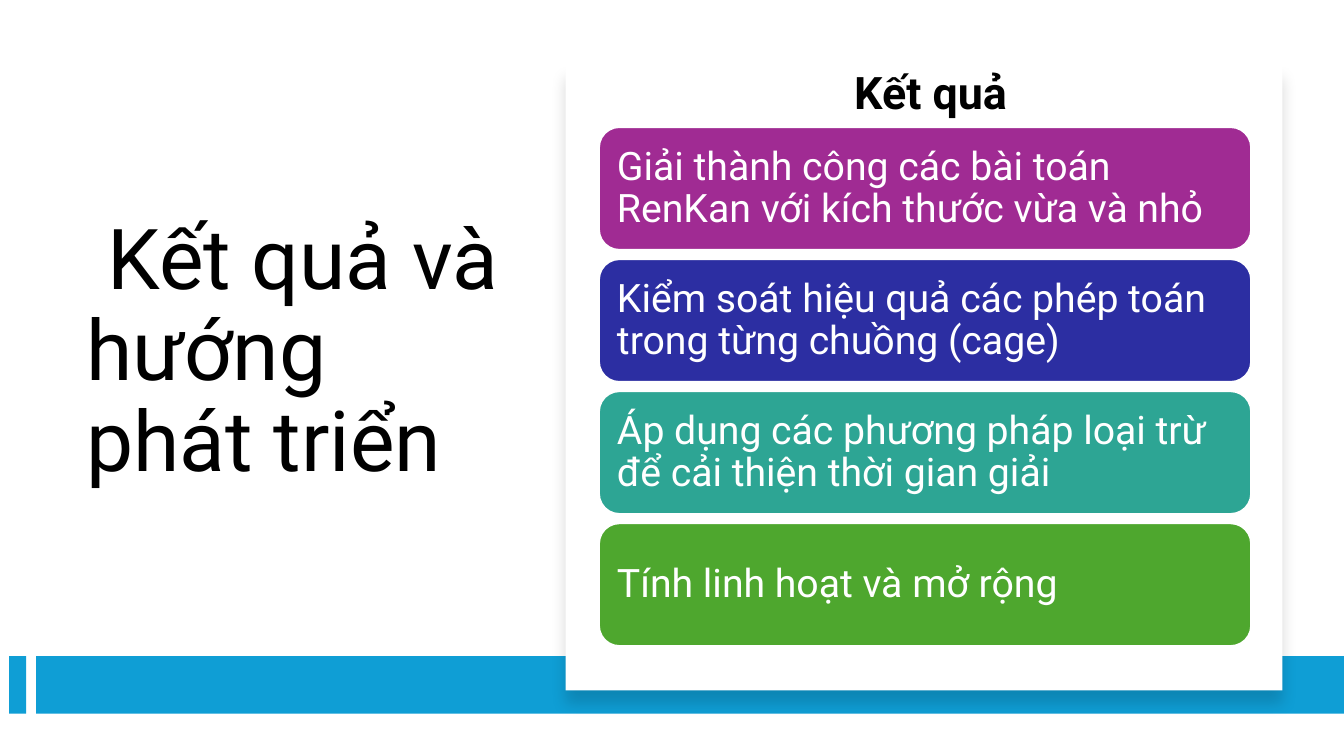
from dataclasses import dataclass

from lxml.etree import SubElement
from pptx import Presentation
from pptx.dml.color import RGBColor
from pptx.enum.shapes import MSO_SHAPE
from pptx.enum.text import MSO_ANCHOR, PP_ALIGN
from pptx.oxml.ns import qn
from pptx.shapes.autoshape import Shape
from pptx.slide import Slide
from pptx.util import Inches, Pt

FONT = "Roboto"
BLACK, WHITE, BLUE = "000000", "FFFFFF", "0F9ED5"


@dataclass
class Box:
    left: float
    top: float
    width: float
    height: float


@dataclass
class Result:
    text: str
    fill: str


BARS = [Box(0.09, 6.51, 0.17, 0.57), Box(0.36, 6.51, 12.97, 0.57)]
PANEL = Box(5.61, 0.64, 7.11, 6.21)
HEADING = Box(0.76, 0.45, 4.31, 6.11)
RESULTS_TITLE = Box(7.1, 0.54, 4.15, 0.8)
FIRST_RESULT = Box(5.94, 1.26, 6.47, 1.22)
RESULT_STEP = 1.31
RESULTS = [
    Result("Giải thành công các bài toán RenKan với kích thước vừa và nhỏ", "A02B93"),
    Result("Kiểm soát hiệu quả các phép toán trong từng chuồng (cage)", "2C2EA2"),
    Result("Áp dụng các phương pháp loại trừ để cải thiện thời gian giải", "2DA594"),
    Result("Tính linh hoạt và mở rộng", "4EA72E"),
]


def color(value: str) -> RGBColor:
    return RGBColor.from_string(value)


def place(box: Box) -> tuple:
    return Inches(box.left), Inches(box.top), Inches(box.width), Inches(box.height)


def add_block(slide: Slide, box: Box, fill: str,
              kind: MSO_SHAPE = MSO_SHAPE.RECTANGLE) -> Shape:
    block = slide.shapes.add_shape(kind, *place(box))
    block.shadow.inherit = False
    block.fill.solid()
    block.fill.fore_color.rgb = color(fill)
    block.line.fill.background()
    return block


def add_soft_shadow(block: Shape) -> None:
    effects = block._element.spPr.find(qn("a:effectLst"))
    shadow = SubElement(effects, qn("a:outerShdw"), blurRad=str(Pt(11)),
                        dist=str(Pt(10)), dir="5400000", algn="t", rotWithShape="0")
    tint = SubElement(shadow, qn("a:srgbClr"), val=BLACK)
    SubElement(tint, qn("a:alpha"), val="15000")


def write(holder: Shape, text: str, size: int, ink: str, bold: bool = False,
          align: PP_ALIGN = PP_ALIGN.LEFT) -> None:
    frame = holder.text_frame
    frame.word_wrap = True
    frame.vertical_anchor = MSO_ANCHOR.MIDDLE
    paragraph = frame.paragraphs[0]
    paragraph.alignment = align
    paragraph.line_spacing = 0.9
    run = paragraph.add_run()
    run.text = text
    run.font.name = FONT
    run.font.size = Pt(size)
    run.font.bold = bold
    run.font.color.rgb = color(ink)


def add_result(slide: Slide, result: Result, index: int) -> None:
    first = FIRST_RESULT
    box = Box(first.left, first.top + index * RESULT_STEP, first.width, first.height)
    card = add_block(slide, box, result.fill, MSO_SHAPE.ROUNDED_RECTANGLE)
    card.line.color.rgb = color(WHITE)
    card.line.width = Pt(1.5)
    frame = card.text_frame
    frame.margin_left = frame.margin_right = Inches(0.12)
    frame.margin_top = frame.margin_bottom = Inches(0.12)
    write(card, result.text, 28, WHITE)


def main() -> None:
    deck = Presentation()
    deck.slide_width, deck.slide_height = Inches(13.33), Inches(7.5)
    slide = deck.slides.add_slide(deck.slide_layouts[6])

    # Blue band along the bottom
    for bar in BARS:
        add_block(slide, bar, BLUE)

    # White panel with the results
    add_soft_shadow(add_block(slide, PANEL, WHITE))
    for index, result in enumerate(RESULTS):
        add_result(slide, result, index)

    # Headings
    heading = slide.shapes.add_textbox(*place(HEADING))
    write(heading, " Kết quả và hướng phát triển", 60, BLACK)
    results_title = slide.shapes.add_textbox(*place(RESULTS_TITLE))
    write(results_title, " Kết quả", 32, BLACK, bold=True, align=PP_ALIGN.CENTER)

    deck.save("out.pptx")


if __name__ == "__main__":
    main()
